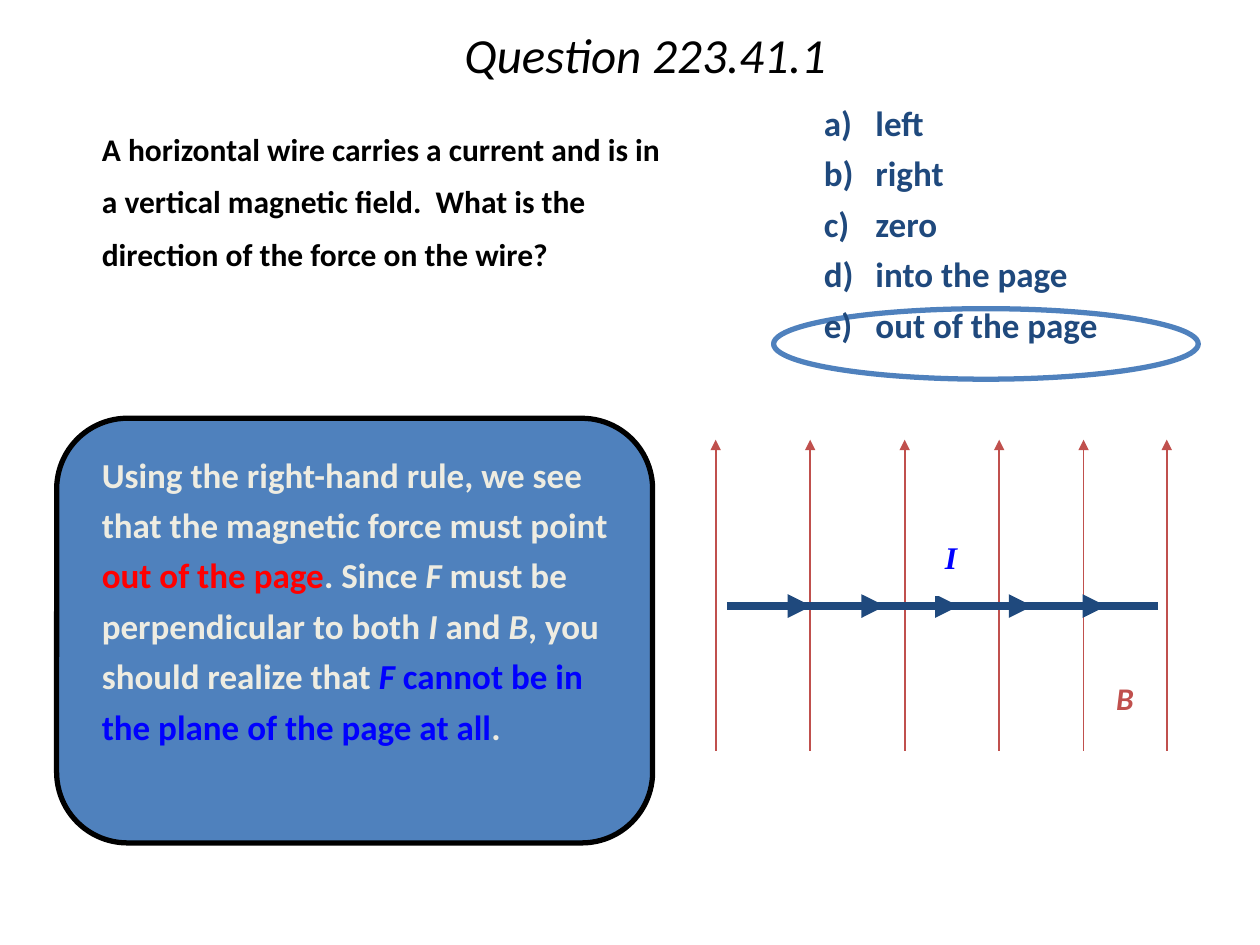
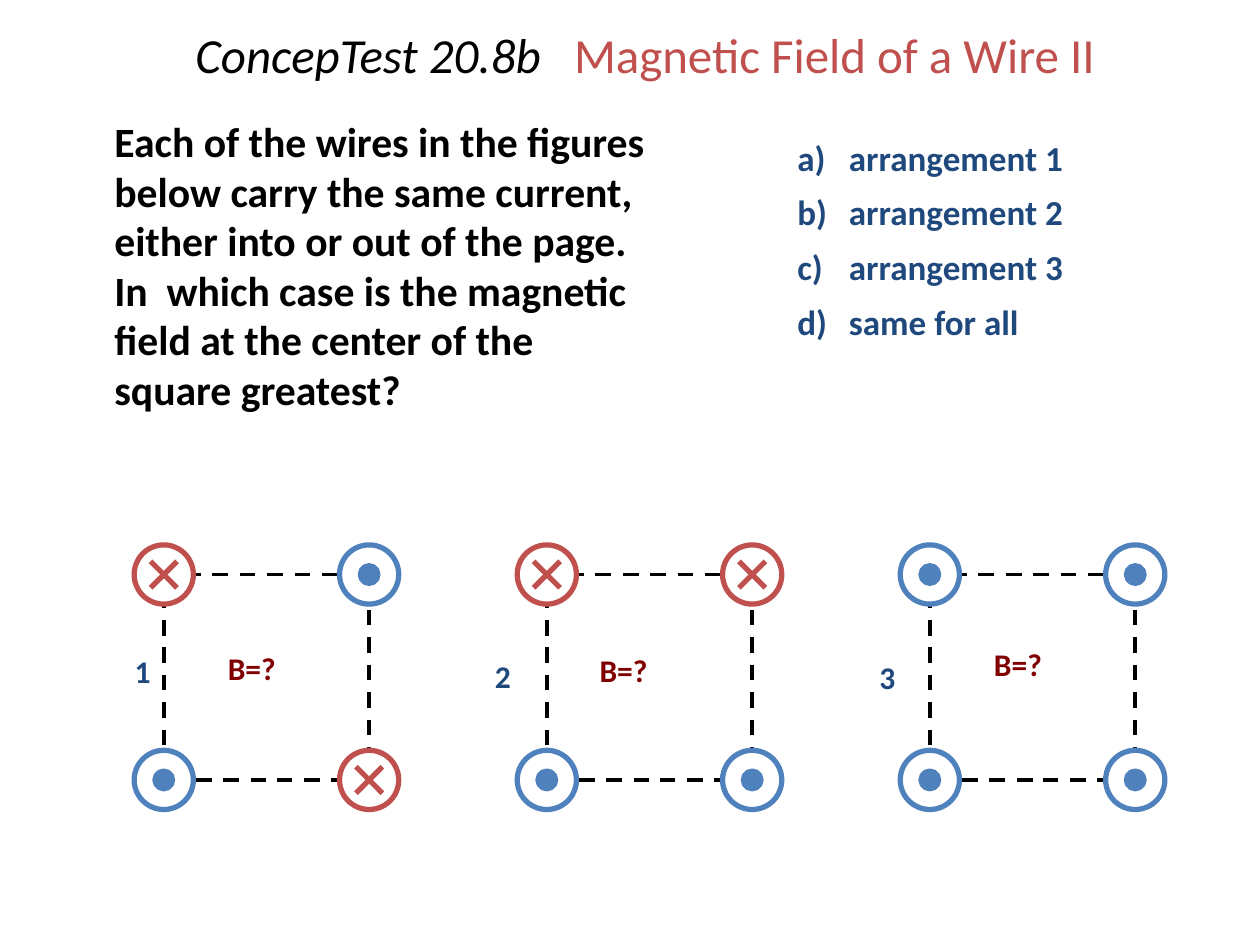
from dataclasses import dataclass
from itertools import product
from lxml import etree
from pptx import Presentation
from pptx.dml.color import RGBColor
from pptx.enum.dml import MSO_LINE_DASH_STYLE as DASH
from pptx.enum.shapes import MSO_CONNECTOR, MSO_SHAPE as SHAPE
from pptx.enum.text import MSO_ANCHOR as ANCHOR, PP_ALIGN as ALIGN
from pptx.oxml.ns import qn
from pptx.util import Inches, Pt


@dataclass(frozen=True)
class Theme:
    font: str = "Calibri"
    serif: str = "Times New Roman"
    black: str = "000000"
    white: str = "FFFFFF"
    cream: str = "EEECE1"
    blue: str = "4F81BD"
    navy: str = "1F497D"
    red: str = "C0504D"
    maroon: str = "800000"
    pure_red: str = "FF0000"
    pure_blue: str = "0000FF"
    title: float = 28
    question: float = 23.8
    body: float = 20
    label: float = 18


T = Theme()

# Content: a paragraph is a string or a list of (text, format) runs
TITLE_1 = [("Question 223.41.1", {"italic": True})]
QUESTION_1 = ("A horizontal wire carries a current and is in a vertical magnetic field.  "
              "What is the direction of the force on the wire?")
ANSWERS_1 = ["left", "right", "zero", "into the page", "out of the page"]
VECTOR = {"italic": True}
KEY = {"color": T.pure_blue}
EXPLANATION = [
    ("Using the right-hand rule, we see that the magnetic force must point ", {}),
    ("out of the page", {"color": T.pure_red}),
    (". Since ", {}), ("F", VECTOR),
    (" must be perpendicular to both ", {}), ("I", VECTOR),
    (" and ", {}), ("B", VECTOR),
    (", you should realize that ", {}), ("F", VECTOR | KEY),
    (" cannot be in the plane of the page at all", KEY), (".", {}),
]

TITLE_2 = [("ConcepTest 20.8b", {"italic": True}), (" ", {"tracking": 12.7}),
           ("Magnetic Field of a Wire II", {"color": T.red})]
QUESTION_2 = ("Each of the wires in the figures below carry the same current, either into or "
              "out of the page. In  which case is the magnetic field at the center of the "
              "square greatest?")
ANSWERS_2 = ["arrangement 1", "arrangement 2", "arrangement 3", "same for all"]

# Wires at top left, top right, bottom left, bottom right: x into the page, o out of it;
# then the places of the number and of the field label
ARRANGEMENTS = [
    ("xoox", (0.97, 5.09), (1.71, 5.1)),
    ("xxoo", (3.83, 5.13), (4.66, 5.12)),
    ("oooo", (6.88, 5.14), (7.79, 5.07)),
]

# Geometry in inches
SLIDE_W, SLIDE_H = 10, 7.5
FIELD_X = [5.68, 6.43, 7.18, 7.93, 8.6, 9.26]
FIELD_TOP, FIELD_BOTTOM = 3.49, 5.96
WIRE_X, WIRE_Y, WIRE_END = 5.77, 4.81, 9.19
ARROWS, ARROW_STEP, ARROW_LEN = 5, 0.585, 0.67
SQUARE_X, SQUARE_Y, SQUARE_STEP, SIDE = 1.3, 4.56, 3.04, 1.63
RING, DOT, CROSS = 0.47, 0.14, 0.21


def rgb(color):
    return RGBColor.from_string(color)


def stroke(line, color, width, dash=None):
    line.color.rgb = rgb(color)
    line.width = Pt(width)
    if dash:
        line.dash_style = dash


def add_run(p, text, size, color, font=T.font, bold=False, italic=False, tracking=None):
    r = p.add_run()
    r.text = text
    f = r.font
    f.name, f.size, f.bold, f.italic = font, Pt(size), bold, italic
    f.color.rgb = rgb(color)
    if tracking:
        r._r.get_or_add_rPr().set("spc", str(round(tracking * 100)))


def add_text(s, box, paragraphs, spacing=1.0, before=0, margin=0, hanging=0,
             align=ALIGN.LEFT, anchor=ANCHOR.TOP, wrap=True, fill=None, **fmt):
    """Add a text box; fmt is the run format that single runs may override."""
    sp = s.shapes.add_textbox(*map(Inches, box))
    if fill:
        sp.fill.solid()
        sp.fill.fore_color.rgb = rgb(fill)
    tf = sp.text_frame
    tf.word_wrap, tf.vertical_anchor = wrap, anchor
    for i, runs in enumerate(paragraphs):
        p = tf.add_paragraph() if i else tf.paragraphs[0]
        p.alignment, p.line_spacing = align, spacing
        if i and before:
            p.space_before = Pt(before)
        if margin:
            pPr = p._p.get_or_add_pPr()
            pPr.set("marL", str(Inches(margin)))
            pPr.set("indent", str(-Inches(hanging)))
        for text, own in [(runs, {})] if isinstance(runs, str) else runs:
            add_run(p, text, **(fmt | own))


def add_shape(s, kind, box, color, width, fill=None, dash=None):
    sp = s.shapes.add_shape(kind, *map(Inches, box))
    sp.shadow.inherit = False
    if fill:
        sp.fill.solid()
        sp.fill.fore_color.rgb = rgb(fill)
    else:
        sp.fill.background()
    stroke(sp.line, color, width, dash)


def add_line(s, start, end, color, width, arrow=False):
    line = s.shapes.add_connector(MSO_CONNECTOR.STRAIGHT, *map(Inches, (*start, *end)))
    stroke(line.line, color, width)
    if arrow:
        etree.SubElement(line.line._get_or_add_ln(), qn("a:tailEnd"), type="triangle")
    etree.SubElement(line._element.spPr, qn("a:effectLst"))


def add_circle(s, x, y, size, color, fill):
    add_shape(s, SHAPE.OVAL, (x - size / 2, y - size / 2, size, size), color, 3, fill)


def add_wire_end(s, x, y, direction):
    """Draw a wire seen end on: a cross goes into the page, a dot comes out."""
    color = T.red if direction == "x" else T.blue
    add_circle(s, x, y, RING, color, T.white)
    if direction == "o":
        add_circle(s, x, y, DOT, color, color)
        return
    h = CROSS / 2
    for slope in (h, -h):
        add_line(s, (x - h, y - slope), (x + h, y + slope), color, 3)


def add_title(s, runs):
    add_text(s, (0.72, 0, 8.8, 0.92), [runs], spacing=0.9, align=ALIGN.CENTER,
             anchor=ANCHOR.MIDDLE, size=T.title, color=T.black)


def add_answers(s, box, answers, spacing):
    lines = [f"{letter})\t{answer}" for letter, answer in zip("abcde", answers)]
    add_text(s, box, lines, spacing=spacing, before=9.6, margin=0.41, hanging=0.41,
             size=T.body, color=T.navy, bold=True)


def add_label(s, x, y, text, color, w=0.39, **fmt):
    add_text(s, (x, y, w, 0.54), [text], wrap=False, size=T.label, color=color,
             bold=True, **fmt)


def build_force_slide(s):
    # Explanation panel
    add_shape(s, SHAPE.ROUNDED_RECTANGLE, (0.45, 3.32, 4.73, 3.37), T.black, 3, T.blue)
    add_text(s, (0.4, 3.48, 4.74, 2.9), [EXPLANATION], spacing=1.2, margin=0.31,
             size=T.body, color=T.cream, bold=True)

    # Question and answers, the right one ringed
    add_title(s, TITLE_1)
    add_text(s, (0.27, 0.86, 5.18, 1.94), [QUESTION_1], spacing=1.4, margin=0.44,
             size=T.label, color=T.black, bold=True)
    add_shape(s, SHAPE.OVAL, (6.14, 2.45, 3.37, 0.56), T.blue, 3)
    add_answers(s, (6.44, 0.82, 3.27, 2.13), ANSWERS_1, spacing=0.8)

    # Magnetic field
    for x in FIELD_X:
        add_line(s, (x, FIELD_BOTTOM), (x, FIELD_TOP), T.red, 1, arrow=True)
    add_label(s, 8.76, 5.31, "B", T.red, w=0.44, spacing=1.11, italic=True, fill=T.white)

    # Current in the wire
    for i in range(ARROWS):
        x = WIRE_X + i * ARROW_STEP
        add_line(s, (x, WIRE_Y), (x + ARROW_LEN, WIRE_Y), T.navy, 4.5, arrow=True)
    add_line(s, (WIRE_END - ARROW_LEN, WIRE_Y), (WIRE_END, WIRE_Y), T.navy, 4.5)
    add_label(s, 7.4, 4.19, "I", T.pure_blue, w=0.33, spacing=1.11, italic=True,
              font=T.serif, fill=T.white)


def build_arrangement_slide(s):
    # Question and answers
    add_title(s, TITLE_2)
    add_text(s, (0, 0.89, 5.3, 2.55), [QUESTION_2], spacing=0.99, margin=0.81,
             size=T.question, color=T.black, bold=True)
    add_answers(s, (6.23, 1.07, 3.77, 1.8), ANSWERS_2, spacing=0.9)

    # Squares of four wires
    for i, (wires, number_at, field_at) in enumerate(ARRANGEMENTS):
        left = SQUARE_X + i * SQUARE_STEP
        add_shape(s, SHAPE.RECTANGLE, (left, SQUARE_Y, SIDE, SIDE), T.black, 2.25,
                  dash=DASH.DASH)
        for direction, (row, col) in zip(wires, product(range(2), repeat=2)):
            add_wire_end(s, left + col * SIDE, SQUARE_Y + row * SIDE, direction)
        add_label(s, *number_at, str(i + 1), T.navy, spacing=1.11)
        add_label(s, *field_at, "B=?", T.maroon, w=0.88)


def main():
    prs = Presentation()
    prs.slide_width, prs.slide_height = Inches(SLIDE_W), Inches(SLIDE_H)
    for build in (build_force_slide, build_arrangement_slide):
        build(prs.slides.add_slide(prs.slide_layouts[6]))
    prs.save("out.pptx")


if __name__ == "__main__":
    main()
